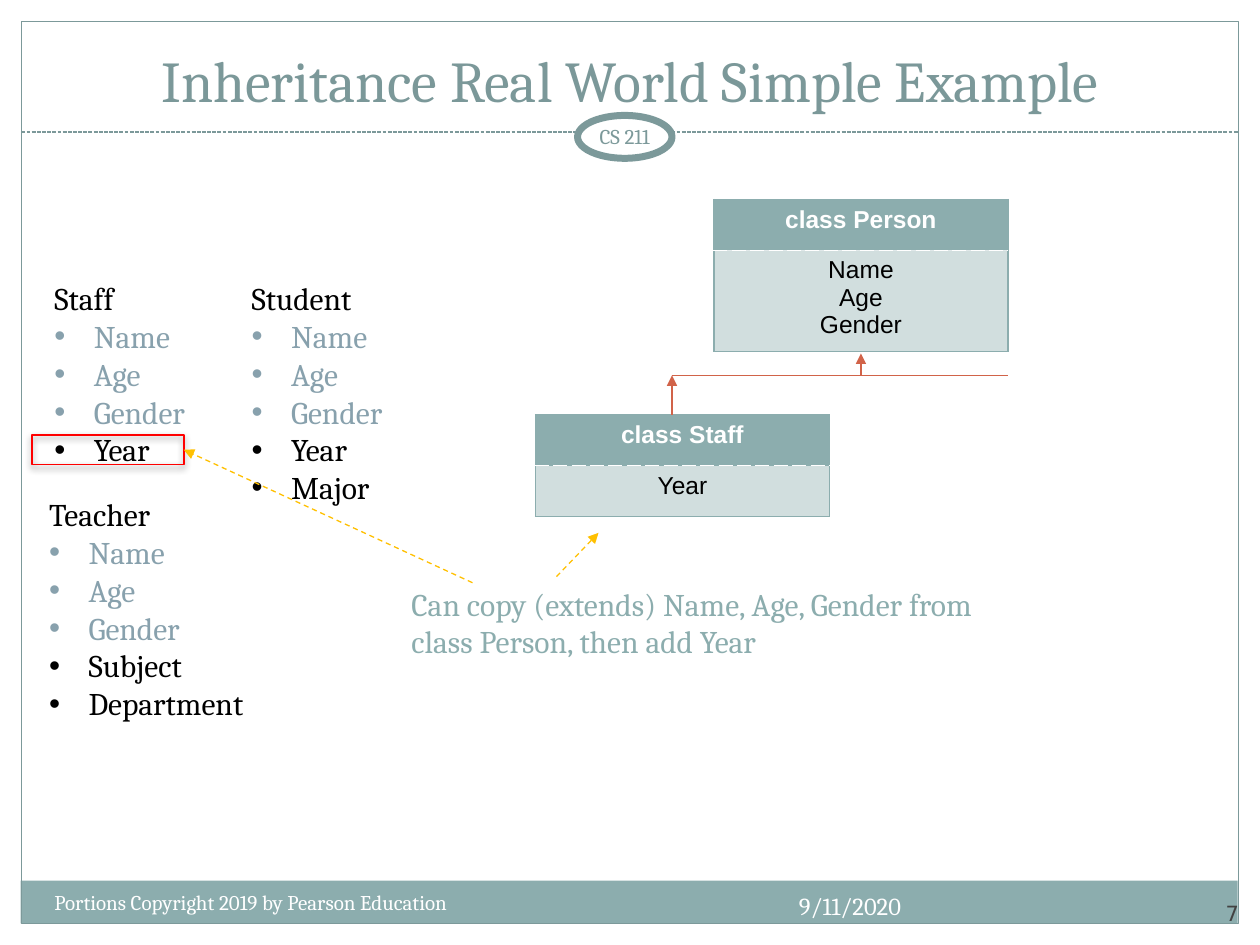
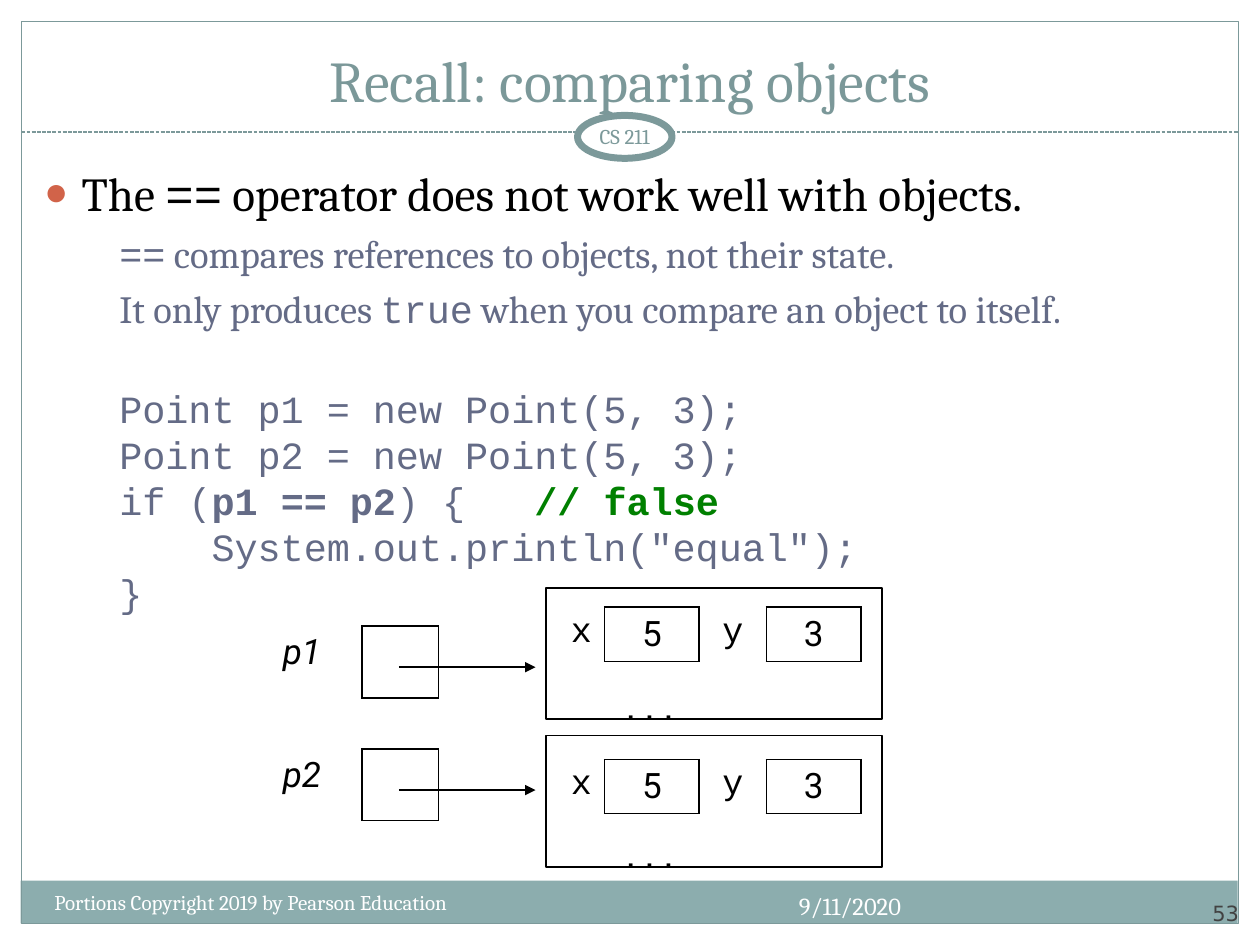
from lxml.etree import SubElement
from pptx import Presentation
from pptx.dml.color import RGBColor
from pptx.enum.dml import MSO_LINE
from pptx.enum.shapes import MSO_CONNECTOR, MSO_SHAPE
from pptx.enum.text import MSO_ANCHOR, MSO_AUTO_SIZE, PP_ALIGN
from pptx.oxml.ns import qn
from pptx.util import Pt

WHITE = RGBColor(0xFF, 0xFF, 0xFF)
BLACK = RGBColor(0, 0, 0)
TEAL = RGBColor(0x8C, 0xAD, 0xAE)
DARK_TEAL = RGBColor(0x7C, 0x99, 0x9A)
TITLE_TEAL = RGBColor(0x7B, 0x98, 0x99)
INHERITED = RGBColor(0x88, 0xA1, 0xAD)
SLATE = RGBColor(0x64, 0x6B, 0x86)
NUMBER_GRAY = RGBColor(0x42, 0x42, 0x42)
ORANGE = RGBColor(0xD1, 0x63, 0x49)
AMBER = RGBColor(0xFF, 0xC0, 0x00)
RED = RGBColor(0xFF, 0, 0)
GREEN = RGBColor(0, 0x80, 0)

SERIF = "Cambria"
MONO = "Courier New"
SANS = "Arial"
LABEL = "Roboto"
NUMBER_FONT = "DejaVu Sans"
NO_STYLE = "{2D5ABB26-0587-4C30-8999-92F81FD0307C}"
CELL_SIDES = ("L", "R", "T", "B")


def style(r, font, size, color, bold=False, italic=False):
    r.font.name = font
    r.font.size = Pt(size)
    r.font.color.rgb = color
    r.font.bold = bold
    r.font.italic = italic


def write(p, text, font, size, color, align=PP_ALIGN.LEFT, **look):
    p.text = text
    p.alignment = align
    style(p.runs[0], font, size, color, **look)


def set_bullet(p, indent, hanging, char=None, color=None, percent=None):
    pPr = p._p.get_or_add_pPr()
    pPr.set("marL", str(Pt(indent)))
    pPr.set("indent", str(-Pt(hanging)))
    if color is not None:
        SubElement(SubElement(pPr, qn("a:buClr")), qn("a:srgbClr"), val=str(color))
    if percent:
        SubElement(pPr, qn("a:buSzPct"), val=str(percent * 1000))
    if char:
        SubElement(pPr, qn("a:buFont"), typeface=SANS)
        SubElement(pPr, qn("a:buChar"), char=char)
    else:
        SubElement(pPr, qn("a:buNone"))


def place(sp, x, y, w, h):
    sp.left, sp.top, sp.width, sp.height = Pt(x), Pt(y), Pt(w), Pt(h)


def add_text(s, box, text, font, size, color, align=PP_ALIGN.LEFT,
             anchor=MSO_ANCHOR.TOP, inset=None):
    sp = s.shapes.add_textbox(*map(Pt, box))
    tf = sp.text_frame
    tf.word_wrap = True
    tf.vertical_anchor = anchor
    if inset is not None:
        tf.margin_left = tf.margin_right = Pt(inset)
        tf.margin_top = tf.margin_bottom = Pt(inset)
    write(tf.paragraphs[0], text, font, size, color, align)


def add_block(s, kind, box, fill=None, line=None, weight=0.75):
    sp = s.shapes.add_shape(kind, *map(Pt, box))
    sp.shadow.inherit = False
    if fill is None:
        sp.fill.background()
    else:
        sp.fill.solid()
        sp.fill.fore_color.rgb = fill
    if line is None:
        sp.line.fill.background()
    else:
        sp.line.color.rgb = line
        sp.line.width = Pt(weight)
    return sp


def add_line(s, start, end, color, weight=0.75, dash=None, arrow=False):
    cn = s.shapes.add_connector(MSO_CONNECTOR.STRAIGHT, *map(Pt, start + end))
    cn.line.color.rgb = color
    cn.line.width = Pt(weight)
    if dash:
        cn.line.dash_style = dash
    if arrow:
        SubElement(cn.line._get_or_add_ln(), qn("a:tailEnd"), type="triangle")
    SubElement(cn._element.spPr, qn("a:effectLst"))
    return cn


def set_borders(cell, borders):
    tcPr = cell._tc.get_or_add_tcPr()
    for side in CELL_SIDES:
        color, weight, dash = borders.get(side, (None, 0, None))
        ln = SubElement(tcPr, qn(f"a:ln{side}"), w=str(Pt(weight)))
        if color is None:
            SubElement(ln, qn("a:noFill"))
            continue
        SubElement(SubElement(ln, qn("a:solidFill")), qn("a:srgbClr"), val=str(color))
        if dash:
            SubElement(ln, qn("a:prstDash"), val=dash)


def fill_cell(cell, color=None, percent=100):
    if color is None:
        cell.fill.background()
        return
    cell.fill.solid()
    cell.fill.fore_color.rgb = color
    if percent < 100:
        srgb = cell._tc.tcPr.find(qn("a:solidFill")).find(qn("a:srgbClr"))
        SubElement(srgb, qn("a:alpha"), val=str(percent * 1000))


def add_grid(s, x, y, widths, heights):
    frame = s.shapes.add_table(len(heights), len(widths), Pt(x), Pt(y),
                               Pt(sum(widths)), Pt(sum(heights)))
    frame._element.find(".//" + qn("a:tableStyleId")).text = NO_STYLE
    table = frame.table
    table.first_row = table.horz_banding = False
    for column, width in zip(table.columns, widths):
        column.width = Pt(width)
    for row, height in zip(table.rows, heights):
        row.height = Pt(height)
    return table


def add_class_table(s, x, y, heights, name, fields):
    table = add_grid(s, x, y, [168], heights)
    head, body = table.cell(0, 0), table.cell(1, 0)
    edge, divider = (TEAL, 0.75, None), (WHITE, 0.9, "sysDash")
    set_borders(head, {"L": edge, "R": edge, "T": edge, "B": divider})
    set_borders(body, {"L": edge, "R": edge, "T": divider, "B": edge})
    fill_cell(head, TEAL)
    fill_cell(body, TEAL, 40)
    write(head.text_frame.paragraphs[0], name, SANS, 14, WHITE, PP_ALIGN.CENTER, bold=True)
    body.text_frame.text = "\n".join(fields)
    for p, field in zip(body.text_frame.paragraphs, fields):
        write(p, field, SANS, 14, BLACK, PP_ALIGN.CENTER)


def add_box_row(s, x, y, widths, height, cells):
    table = add_grid(s, x, y, widths, [height])
    edge = (BLACK, 1, None)
    boxed = [boxed for _, _, boxed, _ in cells]
    for i, (text, font, is_box, italic) in enumerate(cells):
        cell = table.cell(0, i)
        sides = CELL_SIDES if is_box else [
            side for side, j in (("L", i - 1), ("R", i + 1))
            if 0 <= j < len(cells) and boxed[j]]
        set_borders(cell, {side: edge for side in sides})
        fill_cell(cell)
        if text:
            write(cell.text_frame.paragraphs[0], text, font, 20, BLACK,
                  PP_ALIGN.CENTER, italic=italic)


def add_attribute_list(s, box, name, own):
    shared = ["Name", "Age", "Gender"]
    tf = s.shapes.add_textbox(*map(Pt, box)).text_frame
    tf.word_wrap = True
    write(tf.paragraphs[0], name, SERIF, 18, BLACK)
    for item in shared + own:
        p = tf.add_paragraph()
        write(p, item, SERIF, 18, INHERITED if item in shared else BLACK)
        set_bullet(p, 22.5, 22.5, "•")


def add_shadow(sp):
    effects = sp._element.spPr.find(qn("a:effectLst"))
    shadow = SubElement(effects, qn("a:outerShdw"), blurRad=str(Pt(4)),
                        dist=str(Pt(2)), dir="5400000", rotWithShape="0")
    color = SubElement(shadow, qn("a:srgbClr"), val=str(BLACK))
    SubElement(color, qn("a:alpha"), val="45000")


def add_frame(s, number):
    add_block(s, MSO_SHAPE.RECTANGLE, (11.75, 503.25, 695.5, 24.5), TEAL)
    add_block(s, MSO_SHAPE.RECTANGLE, (12.25, 12.25, 695.5, 515.5), line=DARK_TEAL)
    add_line(s, (12.25, 75.5), (707.75, 75.5), DARK_TEAL, dash=MSO_LINE.SQUARE_DOT)
    add_block(s, MSO_SHAPE.OVAL, (330, 66, 54, 24.5), WHITE, DARK_TEAL, 4)
    add_text(s, (324, 66, 66, 24), "CS 211", SERIF, 12, DARK_TEAL,
             PP_ALIGN.CENTER, MSO_ANCHOR.MIDDLE, 3.6)
    add_text(s, (24, 505, 294, 29), "Portions Copyright 2019 by Pearson Education",
             SERIF, 12, WHITE)
    add_text(s, (402.5, 505.5, 119.5, 29), "9/11/2020", SERIF, 14, WHITE, PP_ALIGN.RIGHT)
    add_text(s, (648, 500.5, 60, 28.5), str(number), NUMBER_FONT, 12, NUMBER_GRAY,
             PP_ALIGN.RIGHT, MSO_ANCHOR.BOTTOM, 0)


def add_slide(prs, layout, title, number):
    s = prs.slides.add_slide(prs.slide_layouts[layout])
    add_frame(s, number)
    for sp in list(s.placeholders):
        sp._element.getparent().append(sp._element)
        sp.text_frame.auto_size = MSO_AUTO_SIZE.NONE
    sp = s.shapes.title
    place(sp, 24, 18, 672, 51)
    sp.text_frame.vertical_anchor = MSO_ANCHOR.BOTTOM
    write(sp.text_frame.paragraphs[0], title, SERIF, 33, TITLE_TEAL, PP_ALIGN.CENTER)
    return s


def add_body_line(p, runs, size, color):
    p.alignment = PP_ALIGN.LEFT
    for text, font, *accent in runs:
        r = p.add_run()
        r.text = text
        style(r, font, size, accent[0] if accent else color, bold=bool(accent))


def build_inheritance(prs):
    s = add_slide(prs, 5, "Inheritance Real World Simple Example", 7)
    add_attribute_list(s, (24, 156, 98, 117), "Staff", ["Year"])
    add_attribute_list(s, (136.75, 156, 98, 138), "Student", ["Year", "Major"])
    add_attribute_list(s, (21, 279.5, 135, 138), "Teacher", ["Subject", "Department"])
    year_mark = add_block(s, MSO_SHAPE.RECTANGLE, (18.5, 248.5, 86.5, 17), line=RED, weight=1)
    add_shadow(year_mark)

    add_class_table(s, 408, 114, [29, 57.5], "class Person", ["Name", "Age", "Gender"])
    add_class_table(s, 306, 237, [29, 29], "class Staff", ["Year"])
    add_line(s, (492, 214.5), (492, 202), ORANGE, arrow=True)
    add_line(s, (384, 214.5), (576, 214.5), ORANGE)
    add_line(s, (384, 237), (384, 214.5), ORANGE, arrow=True)

    to_year = add_line(s, (270, 333), (105, 257), AMBER, dash=MSO_LINE.DASH, arrow=True)
    to_year.end_connect(year_mark, 3)
    add_line(s, (318, 329.5), (342, 304.5), AMBER, dash=MSO_LINE.DASH, arrow=True)
    add_text(s, (228, 330.5, 336, 51),
             "Can copy (extends) Name, Age, Gender from class Person, then add Year",
             SERIF, 18, TEAL)


def build_comparison(prs):
    s = add_slide(prs, 1, "Recall: comparing objects", 53)
    body = s.placeholders[1]
    place(body, 18, 90, 684, 402)
    tf = body.text_frame
    p = tf.paragraphs[0]
    p.space_before = Pt(0)
    add_body_line(p, [("The ", SERIF), ("==", MONO),
                      (" operator does not work well with objects.", SERIF)], 27, BLACK)
    set_bullet(p, 21.5, 21.5, "●", ORANGE, 85)

    notes = [
        [("==", MONO), (" compares references to objects, not their state.", SERIF)],
        [("It only produces ", SERIF), ("true", MONO),
         (" when you compare an object to itself.", SERIF)],
    ]
    code = [
        [("Point p1 = new Point(5, 3);", MONO)],
        [("Point p2 = new Point(5, 3);", MONO)],
        [("if (", MONO), ("p1 == p2", MONO, SLATE), (") {   ", MONO),
         ("// false", MONO, GREEN)],
        [("    System.out.println(\"equal\");", MONO)],
        [("}", MONO)],
    ]
    for runs in notes + code:
        p = tf.add_paragraph()
        p.level = 1
        p.space_before = Pt(36 if runs is code[0] else 5.2)
        if runs in code:
            p.line_spacing = 0.8
        add_body_line(p, runs, 22, SLATE)
        set_bullet(p, 43, 0)

    point_cells = [("x", MONO, False, False), ("5", LABEL, True, False),
                   ("y", MONO, False, False), ("3", LABEL, True, False)]
    for name, box_y, fields_y, ref_y in (("p1", 336, 347, 357.75), ("p2", 420.5, 434, 428)):
        sp = add_block(s, MSO_SHAPE.RECTANGLE, (312, box_y, 192, 75), line=BLACK)
        tf = sp.text_frame
        tf.vertical_anchor = MSO_ANCHOR.TOP
        tf.margin_left, tf.margin_top, tf.margin_bottom = Pt(43), Pt(58), Pt(0)
        write(tf.paragraphs[0], "...", MONO, 18, BLACK)
        add_box_row(s, 319, fields_y, [26.5, 54, 38.5, 54], 31, point_cells)
        add_box_row(s, 138, ref_y, [69, 43.5], 41,
                    [(name, LABEL, False, True), ("", LABEL, True, False)])
        arrow_y = ref_y + 23.5
        add_line(s, (228, arrow_y), (306, arrow_y), BLACK, 1.5, arrow=True)


def main():
    prs = Presentation()
    prs.slide_width, prs.slide_height = Pt(720), Pt(540)
    build_inheritance(prs)
    build_comparison(prs)
    prs.save("out.pptx")


if __name__ == "__main__":
    main()
